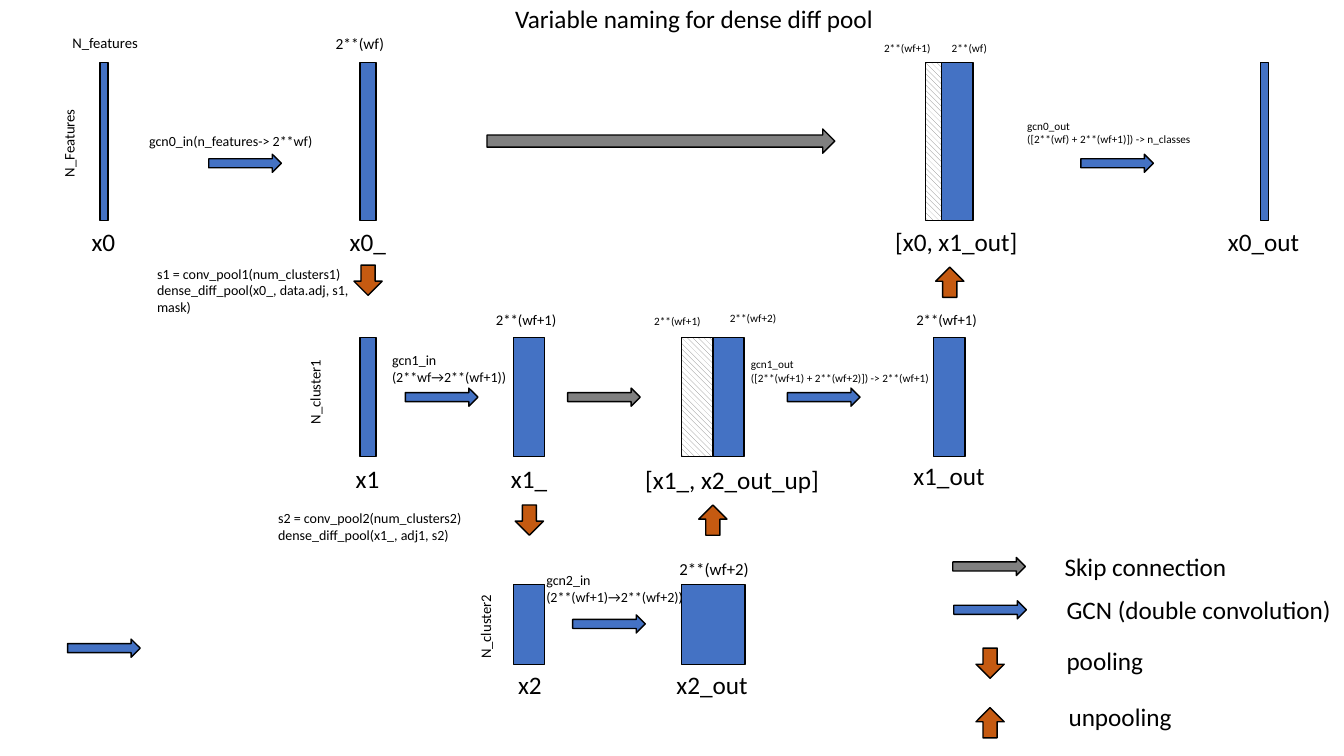
from pptx import Presentation
from pptx.dml.color import RGBColor
from pptx.enum.dml import MSO_PATTERN
from pptx.enum.shapes import MSO_SHAPE
from pptx.enum.text import MSO_AUTO_SIZE
from pptx.util import Pt

PX = 9144
BLUE = RGBColor(0x44, 0x72, 0xC4)
GRAY = RGBColor(0x80, 0x80, 0x80)
ORANGE = RGBColor(0xC5, 0x5A, 0x11)
BLACK = RGBColor(0, 0, 0)
WHITE = RGBColor(255, 255, 255)
DOWN, UP = 90, 270


def add_outlined(slide, kind, left, top, width, height):
    """Add a preset shape with a thin black outline."""
    shape = slide.shapes.add_shape(kind, left * PX, top * PX, width * PX, height * PX)
    shape.shadow.inherit = False
    shape.line.color.rgb = BLACK
    shape.line.width = Pt(1)
    return shape


def add_block(slide, left, top, width, height, hatched=False):
    """Add a feature block, blue or hatched."""
    fill = add_outlined(slide, MSO_SHAPE.RECTANGLE, left, top, width, height).fill
    if hatched:
        fill.patterned()
        fill.pattern = MSO_PATTERN.WIDE_DOWNWARD_DIAGONAL
        fill.fore_color.rgb = GRAY
        fill.back_color.rgb = WHITE
    else:
        fill.solid()
        fill.fore_color.rgb = BLUE


def add_arrow(slide, left, top, color=BLUE, width=72, height=18, rotation=0):
    """Add a block arrow pointing right, then turn it."""
    arrow = add_outlined(slide, MSO_SHAPE.RIGHT_ARROW, left, top, width, height)
    arrow.rotation = rotation
    arrow.fill.solid()
    arrow.fill.fore_color.rgb = color


def add_pool_arrow(slide, left, top, direction):
    """Add a pooling (down) or unpooling (up) arrow."""
    add_arrow(slide, left, top, ORANGE, 30, 28, direction)


def add_label(slide, left, top, width, height, text, size, wrap=False, rotation=0):
    """Add a text box in one size."""
    box = slide.shapes.add_textbox(left * PX, top * PX, width * PX, height * PX)
    box.rotation = rotation
    frame = box.text_frame
    frame.word_wrap = wrap
    frame.auto_size = MSO_AUTO_SIZE.SHAPE_TO_FIT_TEXT
    frame.text = text
    for paragraph in frame.paragraphs:
        paragraph.font.name = "Calibri"
        paragraph.font.size = Pt(size)
        paragraph.font.color.rgb = BLACK


def add_level(slide, left, top, height, blocks, arrows, pools, labels):
    """Place the parts of one network level relative to its top left corner."""
    for x, width, hatched in blocks:
        add_block(slide, left + x, top, width, height, hatched)
    for x, y, *style in arrows:
        add_arrow(slide, left + x, top + y, *style)
    for x, y, direction in pools:
        add_pool_arrow(slide, left + x, top + y, direction)
    for x, y, *content in labels:
        add_label(slide, left + x, top + y, *content)


def add_input_level(slide, left, top, height):
    """Draw the full-resolution level x0."""
    add_level(
        slide, left, top, height,
        blocks=[(0, 8, False), (258, 16, False), (835, 31, False),
                (819, 16, True), (1151, 8, False)],
        arrows=[(108, 91), (384, 66, GRAY, 345, 24), (973, 91)],
        pools=[(251, 202, DOWN), (828, 204, UP)],
        labels=[
            (-18, 158, 44, 40, "x0", 18),
            (238, 158, 56, 40, "x0_", 18),
            (779, 158, 143, 40, "[x0, x1_out]", 18),
            (1109, 158, 92, 40, "x0_out", 18),
            (-37, -33, 87, 28, "N_features", 10.5),
            (224, -33, 69, 29, "2**(wf)", 11),
            (768, -26, 66, 24, "2**(wf+1)", 8),
            (835, -26, 55, 24, "2**(wf)", 8),
            (-75, 65, 89, 28, "N_Features", 10.5, False, 270),
            (39, 65, 185, 27, "gcn0_in(n_features-> 2**wf)", 10),
            (910, 51, 204, 37, "gcn0_out\n([2**(wf) + 2**(wf+1)]) -> n_classes", 8, True),
            (47, 196, 225, 61,
             "s1 = conv_pool1(num_clusters1)\vdense_diff_pool(x0_, data.adj, s1, mask)", 10, True),
        ],
    )


def add_middle_level(slide, left, top, height):
    """Draw the once-pooled level x1."""
    add_level(
        slide, left, top, height,
        blocks=[(0, 16, False), (152, 31, False), (350, 31, False),
                (319, 31, True), (569, 31, False)],
        arrows=[(45, 50), (206, 50, GRAY), (424, 50)],
        pools=[(153, 167, DOWN), (335, 167, UP)],
        labels=[
            (-14, 120, 44, 40, "x1", 18),
            (140, 120, 56, 40, "x1_", 18),
            (273, 121, 195, 40, "[x1_, x2_out_up]", 18),
            (539, 117, 92, 40, "x1_out", 18),
            (125, -32, 81, 28, "2**(wf+1)", 10.5),
            (282, -28, 66, 24, "2**(wf+1)", 8),
            (357, -31, 66, 24, "2**(wf+2)", 8),
            (542, -32, 81, 28, "2**(wf+1)", 10.5),
            (-87, 39, 85, 28, "N_cluster1", 10.5, False, 270),
            (22, 9, 146, 44, "gcn1_in\n(2**wf→2**(wf+1))", 10, True),
            (378, 15, 204, 37, "gcn1_out\n([2**(wf+1) + 2**(wf+2)]) -> 2**(wf+1)", 8, True),
            (-91, 166, 225, 44,
             "s2 = conv_pool2(num_clusters2)\vdense_diff_pool(x1_, adj1, s2)", 10, True),
        ],
    )


def add_bottom_level(slide, left, top, height):
    """Draw the twice-pooled level x2."""
    add_level(
        slide, left, top, height,
        blocks=[(0, 31, False), (167, 63, False)],
        arrows=[(59, 30)],
        pools=[],
        labels=[
            (-5, 79, 44, 40, "x2", 18),
            (152, 79, 92, 40, "x2_out", 18),
            (155, -31, 90, 30, "2**(wf+2)", 12),
            (-70, 27, 85, 28, "N_cluster2", 10.5, False, 270),
            (23, -18, 174, 44, "gcn2_in\n(2**(wf+1)→2**(wf+2))", 10, True),
        ],
    )


def add_legend(slide, left, top):
    """Explain the four kinds of arrow."""
    add_arrow(slide, left, top + 11, GRAY)
    add_arrow(slide, left + 1, top + 54)
    add_pool_arrow(slide, left + 22, top + 102, DOWN)
    add_pool_arrow(slide, left + 22, top + 161, UP)
    for x, y, width, text in [
        (101, 0, 183, "Skip connection"),
        (103, 43, 286, "GCN (double convolution)"),
        (103, 93, 97, "pooling"),
        (105, 149, 124, "unpooling"),
    ]:
        add_label(slide, left + x, top + y, width, 40, text, 18)


def main():
    """Build the slide and save it."""
    presentation = Presentation()
    presentation.slide_width = 1333 * PX
    presentation.slide_height = 750 * PX
    slide = presentation.slides.add_slide(presentation.slide_layouts[6])
    add_label(slide, 501, -2, 380, 40, "Variable naming for dense diff pool", 18)
    add_input_level(slide, 99, 62, 157)
    add_middle_level(slide, 357, 335, 118)
    add_bottom_level(slide, 509, 580, 79)
    add_legend(slide, 945, 542)
    add_arrow(slide, 67, 634)
    presentation.save("out.pptx")


if __name__ == "__main__":
    main()
